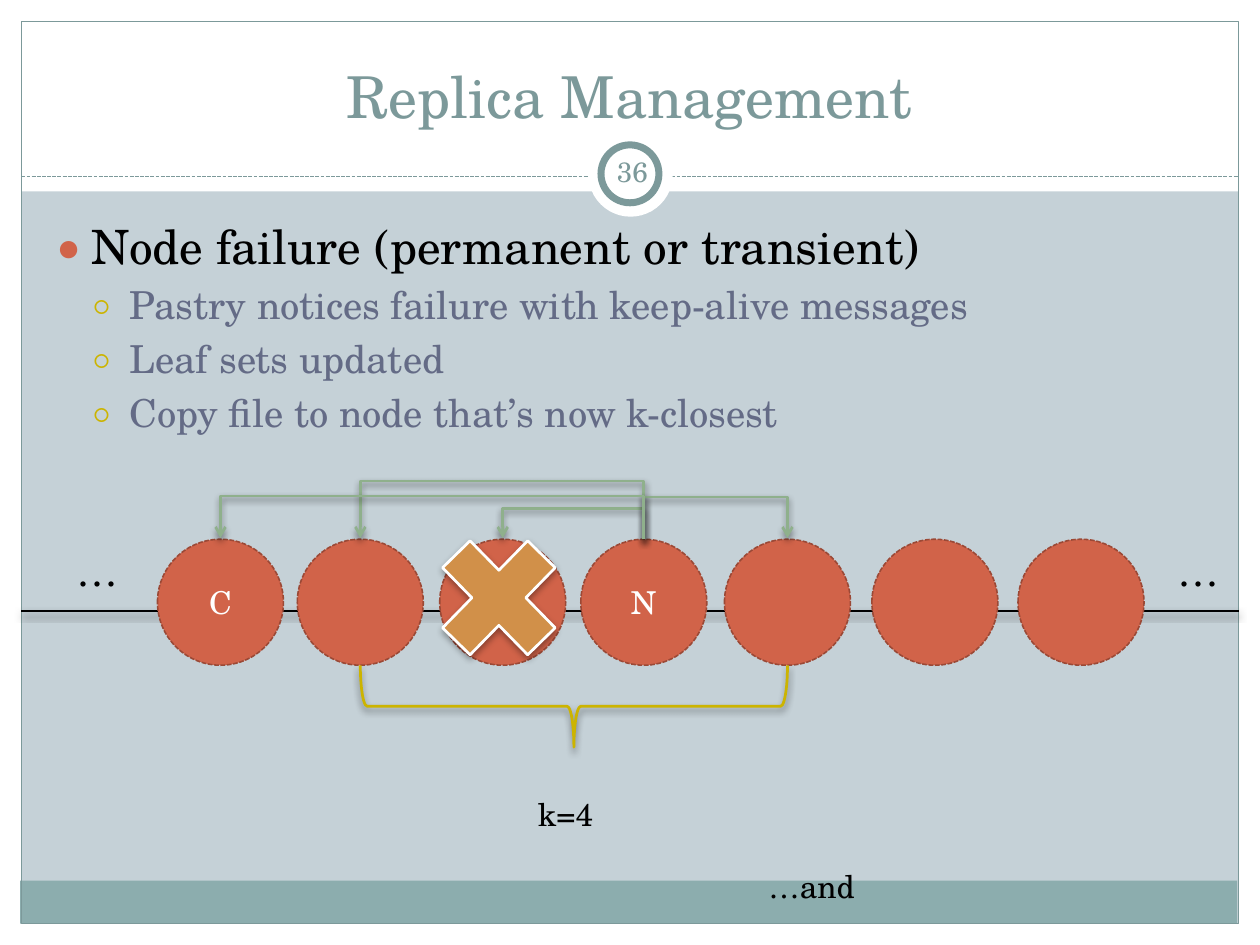
import pptx
import pptx.util
import pptx.dml.color
import pptx.enum.dml
import pptx.enum.shapes
import pptx.enum.text
import pptx.oxml.ns
import pptx.oxml.xmlchemy

Inches = pptx.util.Inches
Pt = pptx.util.Pt
SHAPE = pptx.enum.shapes.MSO_SHAPE
CONNECTOR = pptx.enum.shapes.MSO_CONNECTOR
ALIGN = pptx.enum.text.PP_ALIGN
ANCHOR = pptx.enum.text.MSO_ANCHOR
AUTO_SIZE = pptx.enum.text.MSO_AUTO_SIZE
DASH = pptx.enum.dml.MSO_LINE.SQUARE_DOT
qn = pptx.oxml.ns.qn

FONT = "TeX Gyre Schola"
COLORS = {
    "background": "C5D1D7", "white": "FFFFFF", "black": "000000",
    "band": "8CADAE", "frame": "7C999A", "subpoint": "646B86",
    "node": "D16349", "node_edge": "9B4936", "arrow": "8FB08C",
    "brace": "CCB400", "cross": "D19049",
}
NODE_TOP, NODE_SIZE = 4.28, 1
NODE_LEFTS = [1.25, 2.36, 3.49, 4.61, 5.75, 6.92, 8.08]
NODE_LABELS = {0: "C", 3: "N"}
SOURCE_NODE = 3
ARROW_RISES = {2: 0.25, 1: 0.47, 4: 0.34, 0: 0.35}
POINTS = [
    (0, "Node failure (permanent or transient)"),
    (1, "Pastry notices failure with keep-alive messages"),
    (1, "Leaf sets updated"),
    (1, "Copy file to node that’s now k-closest"),
]
# Per level: size, text colour, bullet, bullet colour, bullet size in percent
LEVELS = [(27, "black", "●", "node", 85), (22, "subpoint", "○", "brace", 70)]


def rgb(name):
    return pptx.dml.color.RGBColor.from_string(COLORS[name])


def add_xml(parent, tag, **attributes):
    child = pptx.oxml.xmlchemy.OxmlElement(tag)
    for key, value in attributes.items():
        child.set(key, str(value))
    parent.append(child)
    return child


def set_shadow(item, opacity=None):
    """Replace the theme shadow: none, or a soft one straight below."""
    properties = item._element.spPr
    effects = properties.find(qn("a:effectLst"))
    if effects is None:
        effects = add_xml(properties, "a:effectLst")
    if opacity:
        shadow = add_xml(effects, "a:outerShdw", blurRad=Pt(4), dist=Pt(2),
                         dir=90 * 60000, rotWithShape=0)
        color = add_xml(shadow, "a:srgbClr", val=COLORS["black"])
        add_xml(color, "a:alpha", val=opacity * 1000)


def style_line(line, color, width, dashed=False):
    line.color.rgb = rgb(color)
    line.width = Pt(width)
    if dashed:
        line.dash_style = DASH


def style_text(paragraph, size, color, align=None):
    paragraph.alignment = align
    for run in paragraph.runs:
        run.font.name = FONT
        run.font.size = Pt(size)
        run.font.color.rgb = rgb(color)


def add_figure(slide, kind, box, fill=None, line=None, width=0.75, dashed=False, opacity=None):
    figure = slide.shapes.add_shape(kind, *map(Inches, box))
    figure.shadow.inherit = False
    if fill:
        figure.fill.solid()
        figure.fill.fore_color.rgb = rgb(fill)
    else:
        figure.fill.background()
    if line:
        style_line(figure.line, line, width, dashed)
    else:
        figure.line.fill.background()
    set_shadow(figure, opacity)
    return figure


def add_straight(slide, start, end, color, width, dashed=False, opacity=None):
    straight = slide.shapes.add_connector(CONNECTOR.STRAIGHT, *map(Inches, start + end))
    style_line(straight.line, color, width, dashed)
    set_shadow(straight, opacity)


def add_bent_arrow(slide, start_x, end_x, y, rise):
    """Elbow arrow that rises from one node and drops onto another.

    The elbow is turned by 270 degrees, so its thin width becomes its height.
    """
    thin, span = 0.01, abs(end_x - start_x)
    left = (start_x + end_x - thin) / 2
    top = y - (thin + span) / 2
    ends = (top, top + span) if end_x > start_x else (top + span, top)
    arrow = slide.shapes.add_connector(
        CONNECTOR.ELBOW, Inches(left), Inches(ends[0]), Inches(left + thin), Inches(ends[1]))
    properties = arrow._element.spPr
    properties.find(qn("a:xfrm")).set("rot", str(270 * 60000))
    guides = properties.find(qn("a:prstGeom")).find(qn("a:avLst"))
    add_xml(guides, "a:gd", name="adj1", fmla=f"val {round(rise / thin * 100000)}")
    style_line(arrow.line, "arrow", 1.57)
    add_xml(properties.find(qn("a:ln")), "a:tailEnd", type="arrow")
    set_shadow(arrow, 45)


def add_label(slide, text, box, size):
    label = slide.shapes.add_textbox(*map(Inches, box))
    label.text_frame.word_wrap = False
    label.text_frame.auto_size = AUTO_SIZE.SHAPE_TO_FIT_TEXT
    label.text_frame.text = text
    style_text(label.text_frame.paragraphs[0], size, "black")


def place(placeholder, box, anchor):
    """Position a placeholder and bring it in front of the backdrop."""
    placeholder.left, placeholder.top, placeholder.width, placeholder.height = map(Inches, box)
    frame = placeholder.text_frame
    frame.auto_size = AUTO_SIZE.NONE
    frame.vertical_anchor = anchor
    element = placeholder._element
    element.getparent().append(element)
    return frame


def add_backdrop(slide):
    slide.background.fill.solid()
    slide.background.fill.fore_color.rgb = rgb("background")
    margins = [(0, 7.33, 10, 0.17), (0, 0, 10, 1.52), (0, 0, 0.17, 7.5), (9.83, 0, 0.17, 7.5)]
    for margin in margins:
        add_figure(slide, SHAPE.RECTANGLE, margin, "white")
    add_figure(slide, SHAPE.RECTANGLE, (0.16, 6.99, 9.66, 0.34), "band")
    add_figure(slide, SHAPE.RECTANGLE, (0.17, 0.17, 9.66, 7.16), line="frame")
    add_straight(slide, (0.17, 1.4), (9.83, 1.4), "frame", 0.75, dashed=True)
    add_figure(slide, SHAPE.OVAL, (4.67, 1.05, 0.67, 0.67), "white")
    add_figure(slide, SHAPE.OVAL, (4.77, 1.15, 0.46, 0.46), "white", "frame", 4)


def add_page_number(slide, number):
    frame = slide.shapes.add_textbox(*map(Inches, (4.77, 1.12, 0.5, 0.48))).text_frame
    frame.word_wrap = True
    frame.vertical_anchor = ANCHOR.MIDDLE
    frame.margin_left = frame.margin_right = Inches(0.05)
    frame.text = number
    style_text(frame.paragraphs[0], 16, "frame", ALIGN.CENTER)


def fill_title(title):
    frame = place(title, (0.33, 0.25, 9.33, 0.83), ANCHOR.BOTTOM)
    frame.text = "Replica Management"
    style_text(frame.paragraphs[0], 33, "frame", ALIGN.CENTER)


def fill_points(body):
    frame = place(body, (0.33, 1.67, 9.3, 5), ANCHOR.TOP)
    frame.text = "\n".join(text for _, text in POINTS)
    for paragraph, (level, _) in zip(frame.paragraphs, POINTS):
        size, color, bullet, bullet_color, percent = LEVELS[level]
        paragraph.level = level
        style_text(paragraph, size, color)
        properties = paragraph._p.get_or_add_pPr()
        properties.set("marL", str(Inches(0.3 * (level + 1))))
        properties.set("indent", str(Inches(-0.3)))
        add_xml(add_xml(properties, "a:buClr"), "a:srgbClr", val=COLORS[bullet_color])
        add_xml(properties, "a:buSzPct", val=percent * 1000)
        add_xml(properties, "a:buFont", typeface=FONT)
        add_xml(properties, "a:buChar", char=bullet)


def add_node(slide, left, label):
    node = add_figure(slide, SHAPE.OVAL, (left, NODE_TOP, NODE_SIZE, NODE_SIZE),
                      "node", "node_edge", 0.9, dashed=True)
    if label:
        node.text_frame.text = label
        node.text_frame.vertical_anchor = ANCHOR.MIDDLE
        style_text(node.text_frame.paragraphs[0], 18, "white", ALIGN.CENTER)


def add_ring(slide):
    # Nodes along the line
    add_straight(slide, (9.83, 4.85), (0.17, 4.85), "black", 1.57, opacity=45)
    for index, left in enumerate(NODE_LEFTS):
        add_node(slide, left, NODE_LABELS.get(index))
    # Failed node, then copies sent from N
    add_figure(slide, SHAPE.MATH_MULTIPLY, (3.31, 4.08, 1.3, 1.33), "cross", "white", 1.57, opacity=35)
    centers = [left + NODE_SIZE / 2 for left in NODE_LEFTS]
    for target, rise in ARROW_RISES.items():
        add_bent_arrow(slide, centers[SOURCE_NODE], centers[target], NODE_TOP, rise)
    # Brace over the k closest nodes
    brace = add_figure(slide, SHAPE.LEFT_BRACE, (4.23, 3.91, 0.65, 3.39), line="brace", width=1.57, opacity=45)
    brace.rotation = 270
    # Labels
    add_label(slide, "k=4", (4.17, 6.26, 0.64, 0.4), 18)
    for left in (0.51, 9.25):
        add_label(slide, "…", (left, 4.27, 0.47, 0.5), 24)
    add_label(slide, "…and", (6, 6.83, 0.89, 0.4), 18)


def main():
    deck = pptx.Presentation()
    deck.slide_width, deck.slide_height = Inches(10), Inches(7.5)
    slide = deck.slides.add_slide(deck.slide_layouts[1])
    add_backdrop(slide)
    fill_title(slide.shapes.title)
    add_page_number(slide, "36")
    fill_points(slide.placeholders[1])
    add_ring(slide)
    deck.save("out.pptx")


if __name__ == "__main__":
    main()
